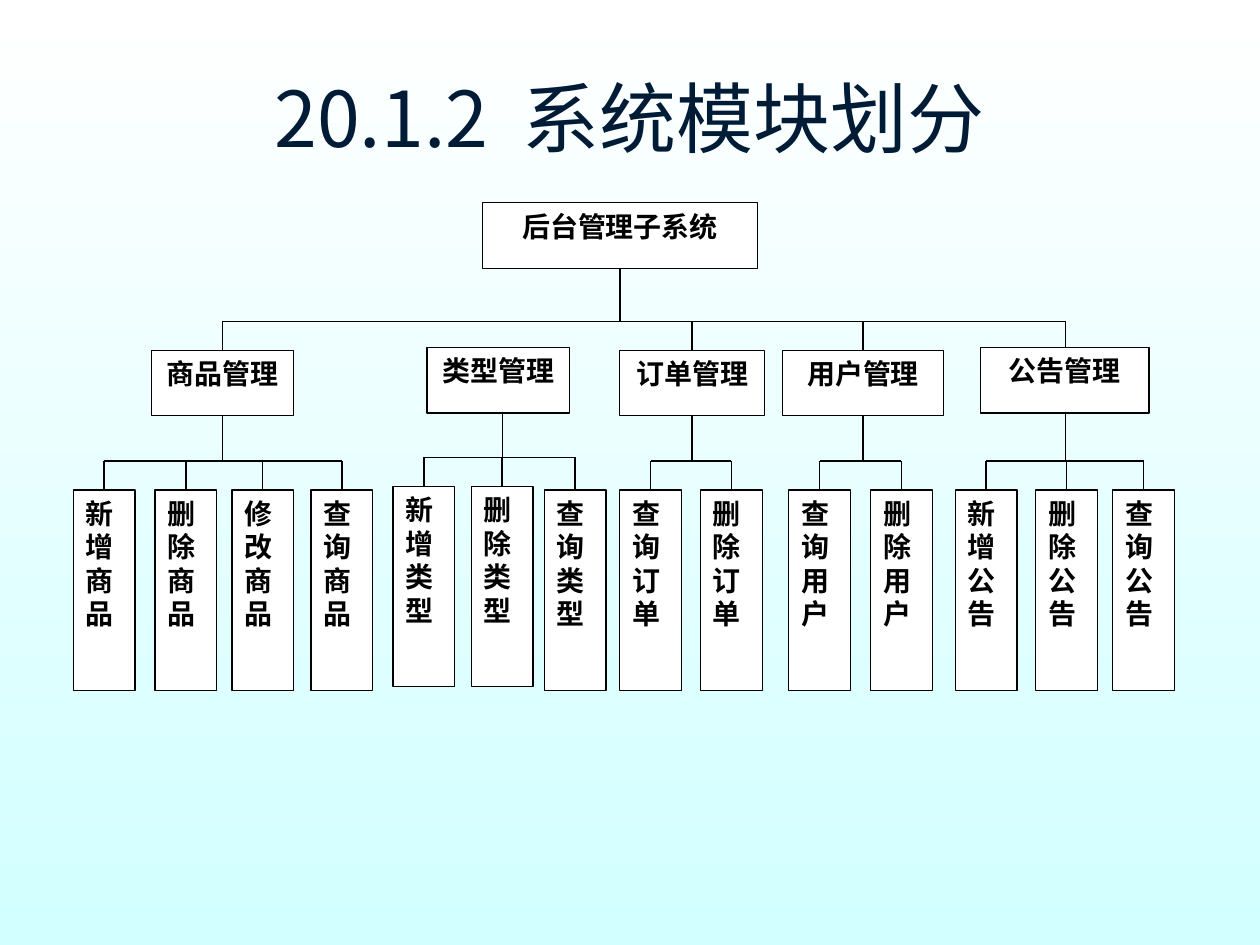
from lxml.etree import SubElement
from pptx import Presentation
from pptx.dml.color import RGBColor
from pptx.enum.shapes import MSO_CONNECTOR, MSO_SHAPE
from pptx.enum.text import MSO_ANCHOR, PP_ALIGN
from pptx.oxml.ns import qn
from pptx.util import Pt

BLACK = RGBColor(0x00, 0x00, 0x00)
WHITE = RGBColor(0xFF, 0xFF, 0xFF)
NAVY = RGBColor(0x00, 0x1B, 0x36)
PALE_CYAN = RGBColor(0xD2, 0xFF, 0xFF)
FONT = "Noto Sans CJK SC"
LINE_WIDTH = 0.75

ROOT = ("后台管理子系统", 275.8, 115.9, 157, 37.4)
ROOT_BUS = 183.6
MODULE_HEIGHT = 37.4
FUNCTION_WIDTH, FUNCTION_HEIGHT = 35.3, 114.5
LOWER_BUS_GAP = 16.6

# Module: name, left, top, width, stem x, joined to root, functions (name, left, top)
MODULES = [
    ("商品管理", 86.4, 200.2, 81.4, 127, True,
     [("新增商品", 41.8, 280), ("删除商品", 88.6, 280),
      ("修改商品", 132.5, 280), ("查询商品", 177.8, 280)]),
    ("类型管理", 244.1, 198.7, 81.4, 287, False,
     [("新增类型", 224.6, 278), ("删除类型", 269.3, 278), ("查询类型", 311, 280)]),
    ("订单管理", 354.2, 200.2, 82.8, 395.4, True,
     [("查询订单", 354.2, 280), ("删除订单", 400.3, 280)]),
    ("用户管理", 447.1, 200.2, 92.2, 493.2, True,
     [("查询用户", 450.7, 280), ("删除用户", 497.5, 280)]),
    ("公告管理", 560.2, 198.7, 96.5, 608.8, True,
     [("新增公告", 545.8, 280), ("删除公告", 591.8, 280), ("查询公告", 635.8, 280)]),
]


def format_text(paragraph, size, color, bold=False):
    """Style every run, naming the font for East Asian characters too."""
    for span in paragraph.runs:
        span.font.name = FONT
        span.font.size = Pt(size)
        span.font.bold = bold
        span.font.color.rgb = color
        SubElement(span.font._element, qn("a:ea"), typeface=FONT)


def set_background(page):
    fill = page.background.fill
    fill.gradient()
    fill.gradient_angle = 270
    for stop, color, position in zip(fill.gradient_stops, (WHITE, PALE_CYAN), (0, 1)):
        stop.color.rgb = color
        stop.position = position


def set_title(page, text):
    title = page.shapes.title
    title.left, title.top, title.width, title.height = Pt(36), Pt(21.6), Pt(648), Pt(90)
    title.text_frame.text = text
    title.text_frame.vertical_anchor = MSO_ANCHOR.MIDDLE
    paragraph = title.text_frame.paragraphs[0]
    paragraph.alignment = PP_ALIGN.CENTER
    format_text(paragraph, 44, NAVY)


def add_box(page, text, left, top, width, height, alignment=PP_ALIGN.CENTER):
    box = page.shapes.add_shape(MSO_SHAPE.RECTANGLE, Pt(left), Pt(top), Pt(width), Pt(height))
    box.shadow.inherit = False
    box.fill.solid()
    box.fill.fore_color.rgb = WHITE
    box.line.color.rgb = BLACK
    box.line.width = Pt(LINE_WIDTH)
    frame = box.text_frame
    frame.word_wrap = True
    frame.vertical_anchor = MSO_ANCHOR.TOP
    frame.text = text
    frame.paragraphs[0].alignment = alignment
    format_text(frame.paragraphs[0], 16, BLACK, bold=True)


def add_line(page, x1, y1, x2, y2):
    line = page.shapes.add_connector(MSO_CONNECTOR.STRAIGHT, Pt(x1), Pt(y1), Pt(x2), Pt(y2))
    line.line.color.rgb = BLACK
    line.line.width = Pt(LINE_WIDTH)
    SubElement(line._element.spPr, qn("a:effectLst"))


def add_root(page):
    name, left, top, width, height = ROOT
    center = left + width / 2
    add_box(page, name, left, top, width, height)
    add_line(page, center, top + height, center, ROOT_BUS)
    stems = [module[4] for module in MODULES]
    add_line(page, stems[0], ROOT_BUS, stems[-1], ROOT_BUS)


def add_module(page, name, left, top, width, stem, joined, functions):
    """Draw a module box with its function boxes and the lines between them."""
    add_box(page, name, left, top, width, MODULE_HEIGHT)
    if joined:
        add_line(page, stem, ROOT_BUS, stem, top)
    bus = functions[0][2] - LOWER_BUS_GAP
    add_line(page, stem, top + MODULE_HEIGHT, stem, bus)
    centers = [function_left + FUNCTION_WIDTH / 2 for _, function_left, _ in functions]
    add_line(page, centers[0], bus, centers[-1], bus)
    for center, (text, function_left, function_top) in zip(centers, functions):
        add_box(page, text, function_left, function_top,
                FUNCTION_WIDTH, FUNCTION_HEIGHT, PP_ALIGN.LEFT)
        add_line(page, center, bus, center, function_top)


def main():
    deck = Presentation()
    deck.slide_width, deck.slide_height = Pt(720), Pt(540)
    page = deck.slides.add_slide(deck.slide_layouts.get_by_name("Title Only"))
    set_background(page)
    set_title(page, "20.1.2  系统模块划分")
    add_root(page)
    for module in MODULES:
        add_module(page, *module)
    deck.save("out.pptx")


if __name__ == "__main__":
    main()
